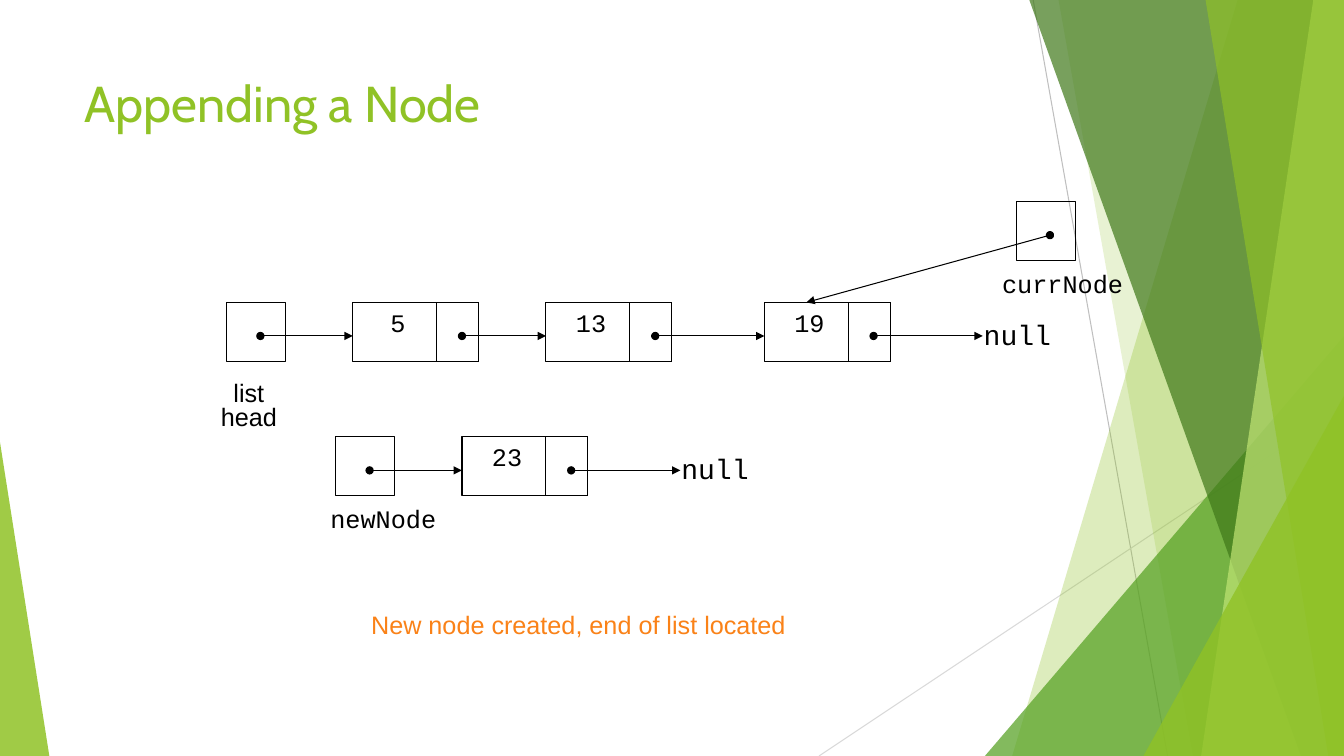
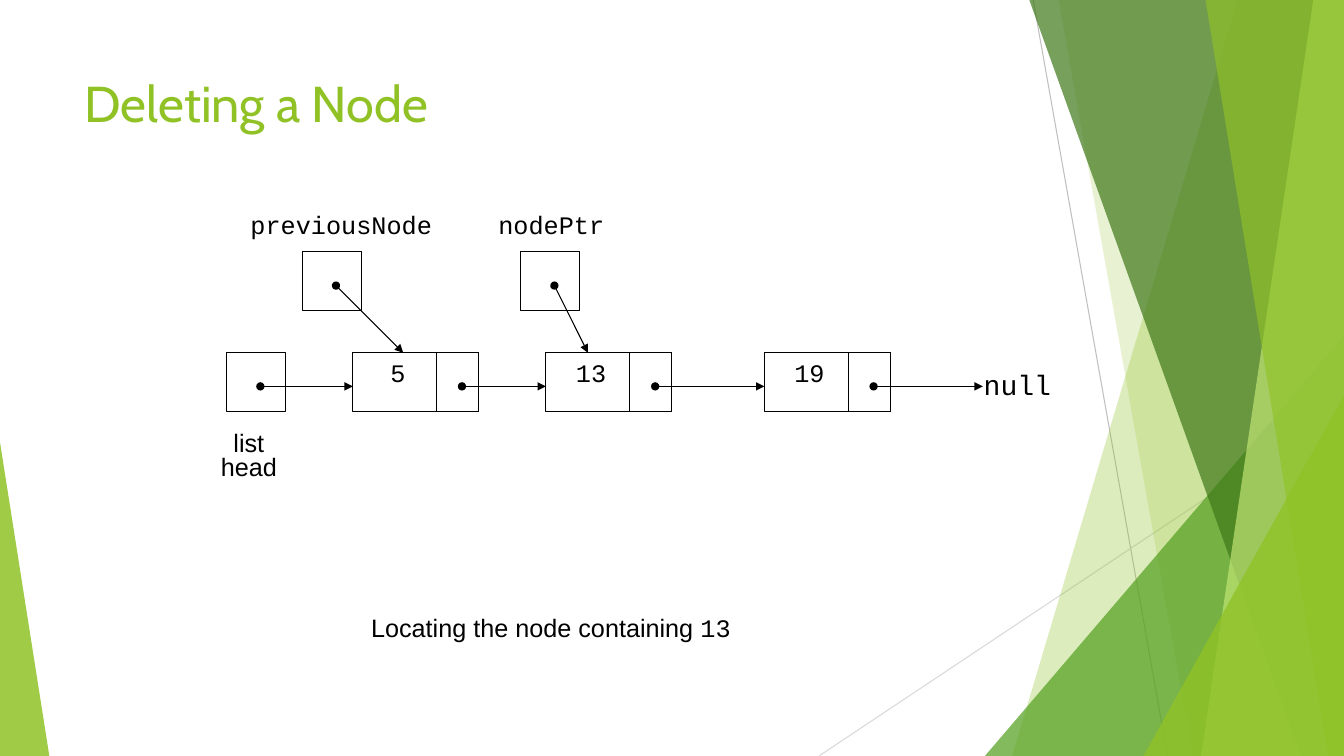
from math import ceil

from pptx import Presentation
from pptx.dml.color import RGBColor
from pptx.enum.shapes import MSO_CONNECTOR as Line, MSO_SHAPE as Preset
from pptx.enum.text import MSO_ANCHOR as Anchor, PP_ALIGN as Align
from pptx.oxml.ns import qn
from pptx.util import Emu, Pt
from lxml.etree import SubElement

PX = 9525
WIDTH, HEIGHT = 1280, 720
BLACK, LIME, GREEN, FOREST = "000000", "90C226", "54A021", "3F7819"
PALE_LIME, ORANGE, GREY, LIGHT_GREY = "C0E474", "FA8218", "BFBFBF", "D9D9D9"
SANS, MONO, TITLE_FONT = "Arial", "Courier New", "Cabin"

CELL, NODE_WIDTH, VALUE_WIDTH = 56, 120, 80
DOT, LINK_DOT, NULL_REACH = 32, 104, 208
HEAD_X = 216
LIST_NODES = [("5", 336), ("13", 520), ("19", 728)]


def px(length):
    """Turn px into EMU."""
    return Emu(round(length * PX))


def color(value):
    """Turn a hex string into a colour."""
    return RGBColor.from_string(value)


def fill_panel(shape, value, opacity):
    """Give a shape a translucent fill without outline or shadow."""
    shape.shadow.inherit = False
    shape.fill.solid()
    shape.fill.fore_color.rgb = color(value)
    shape.line.fill.background()
    tint = shape.element.spPr.find(qn("a:solidFill")).find(qn("a:srgbClr"))
    SubElement(tint, qn("a:alpha")).set("val", str(opacity * 1000))


def add_panel(page, top_x, bottom_x, value, opacity):
    """Draw a slanted panel that reaches the right edge of the page."""
    outline = page.shapes.build_freeform(top_x, -1, scale=PX)
    outline.add_line_segments([(WIDTH, -1), (WIDTH, HEIGHT), (bottom_x, HEIGHT)])
    fill_panel(outline.convert_to_shape(), value, opacity)


def add_corner(page, left, top, width, apex, value, opacity):
    """Draw a right triangle standing on the bottom edge."""
    corner = page.shapes.add_shape(
        Preset.ISOSCELES_TRIANGLE, px(left), px(top), px(width), px(HEIGHT - top))
    corner.adjustments[0] = apex
    fill_panel(corner, value, opacity)


def add_line(page, start, end, value=BLACK):
    """Draw a thin straight line."""
    line = page.shapes.add_connector(Line.STRAIGHT, *map(px, start + end))
    line.line.color.rgb = color(value)
    line.line.width = Pt(0.75)
    SubElement(line.element.spPr, qn("a:effectLst"))
    return line


def add_arrow(page, start, end):
    """Draw a reference from a dot to an arrowhead."""
    stroke = add_line(page, start, end).element.spPr.find(qn("a:ln"))
    for tag, kind in (("a:headEnd", "oval"), ("a:tailEnd", "triangle")):
        SubElement(stroke, qn(tag)).set("type", kind)


def add_text(page, left, top, width, height, lines, font, size=18,
             value=BLACK, align=Align.LEFT, spacing=1.0):
    """Add a text box with one paragraph per line."""
    box = page.shapes.add_textbox(px(left), px(top), px(width), px(height))
    frame = box.text_frame
    frame.word_wrap = False
    frame.vertical_anchor = Anchor.TOP
    frame.text = "\n".join(lines)
    for para in frame.paragraphs:
        para.alignment = align
        para.line_spacing = spacing
        para.font.name = font
        para.font.size = Pt(size)
        para.font.color.rgb = color(value)
    return box


def add_code(page, center, top, text, height=34, size=18, spacing=0.8):
    """Add a monospaced word centred on a point."""
    width = 2 * ceil(len(text) * size * 0.4 + 11)
    add_text(page, center - width // 2, top, width, height, [text], MONO,
             size, align=Align.CENTER, spacing=spacing)


def add_cell(page, left, top, width=CELL):
    """Draw an outlined memory cell."""
    cell = page.shapes.add_shape(
        Preset.RECTANGLE, px(left), px(top), px(width), px(CELL))
    cell.shadow.inherit = False
    cell.fill.background()
    cell.line.color.rgb = color(BLACK)
    cell.line.width = Pt(0.75)


def add_pointer(page, left, top, target):
    """Draw a reference variable and its arrow."""
    add_cell(page, left, top)
    add_arrow(page, (left + DOT, top + DOT), target)


def add_node(page, value, left, top, next_x=None):
    """Draw a node linked to the next node or to null."""
    add_cell(page, left, top, NODE_WIDTH)
    add_cell(page, left + VALUE_WIDTH, top, NODE_WIDTH - VALUE_WIDTH)
    add_code(page, left + 43, top, value, height=38, spacing=1.0)
    end = next_x or left + NULL_REACH
    add_arrow(page, (left + LINK_DOT, top + DOT), (end, top + DOT))
    if next_x is None:
        add_code(page, end + 33, top + 3, "null", height=48, size=20, spacing=1.2)


def add_list(page, top):
    """Draw the list head and the chain of nodes."""
    add_pointer(page, HEAD_X, top, (LIST_NODES[0][1], top + DOT))
    add_text(page, HEAD_X - 17, top + 72, 76, 57, ["list", "head"], SANS,
             align=Align.CENTER, spacing=0.8)
    followers = [left for _, left in LIST_NODES[1:]] + [None]
    for (value, left), next_x in zip(LIST_NODES, followers):
        add_node(page, value, left, top, next_x)


def add_page(deck, title):
    """Add a page with the shared backdrop and title."""
    page = deck.slides.add_slide(deck.slide_layouts[6])
    add_line(page, (984, 0), (1112, HEIGHT), GREY)
    add_line(page, (WIDTH, 387), (780, HEIGHT), LIGHT_GREY)
    add_panel(page, 1179, 964, LIME, 30)
    add_panel(page, 1008, 1136, LIME, 20)
    add_corner(page, 938, 320, 342, 1, GREEN, 72)
    add_panel(page, 980, 1239, FOREST, 70)
    add_panel(page, 1251, 1144, PALE_LIME, 70)
    add_panel(page, 1148, 1265, LIME, 65)
    add_corner(page, 1089, 377, 191, 1, LIME, 80)
    add_corner(page, 0, 421, 47, 0, LIME, 85)
    heading = add_text(page, 71, 64, 902, 138, [title], TITLE_FONT, 36, LIME)
    heading.text_frame.word_wrap = True
    return page


def add_appending(deck):
    """Build the page on appending a node."""
    page = add_page(deck, "Appending a Node")
    list_top, new_top, current_top = 288, 416, 192
    add_list(page, list_top)
    add_pointer(page, 320, new_top, (440, new_top + DOT))
    add_code(page, 365, new_top + 64, "newNode")
    add_node(page, "23", 440, new_top)
    add_pointer(page, 968, current_top, (768, list_top))
    add_code(page, 1012, current_top + 64, "currNode")
    add_text(page, 344, 576, 420, 38, ["New node created, end of list located"],
             SANS, value=ORANGE)


def add_deleting(deck):
    """Build the page on deleting a node."""
    page = add_page(deck, "Deleting a Node")
    list_top, pointer_top = 336, 240
    add_list(page, list_top)
    for name, center, left, target_x in (("nodePtr", 525, 496, 560),
                                         ("previousNode", 325, 288, 384)):
        add_pointer(page, left, pointer_top, (target_x, list_top))
        add_code(page, center, pointer_top - 40, name)
    caption = add_text(page, 344, 578, 368, 38,
                       ["Locating the node containing "], SANS)
    span = caption.text_frame.paragraphs[0].add_run()
    span.text = "13"
    span.font.name = MONO


def main():
    """Build and save the deck."""
    deck = Presentation()
    deck.slide_width, deck.slide_height = px(WIDTH), px(HEIGHT)
    add_appending(deck)
    add_deleting(deck)
    deck.save("out.pptx")


if __name__ == "__main__":
    main()
